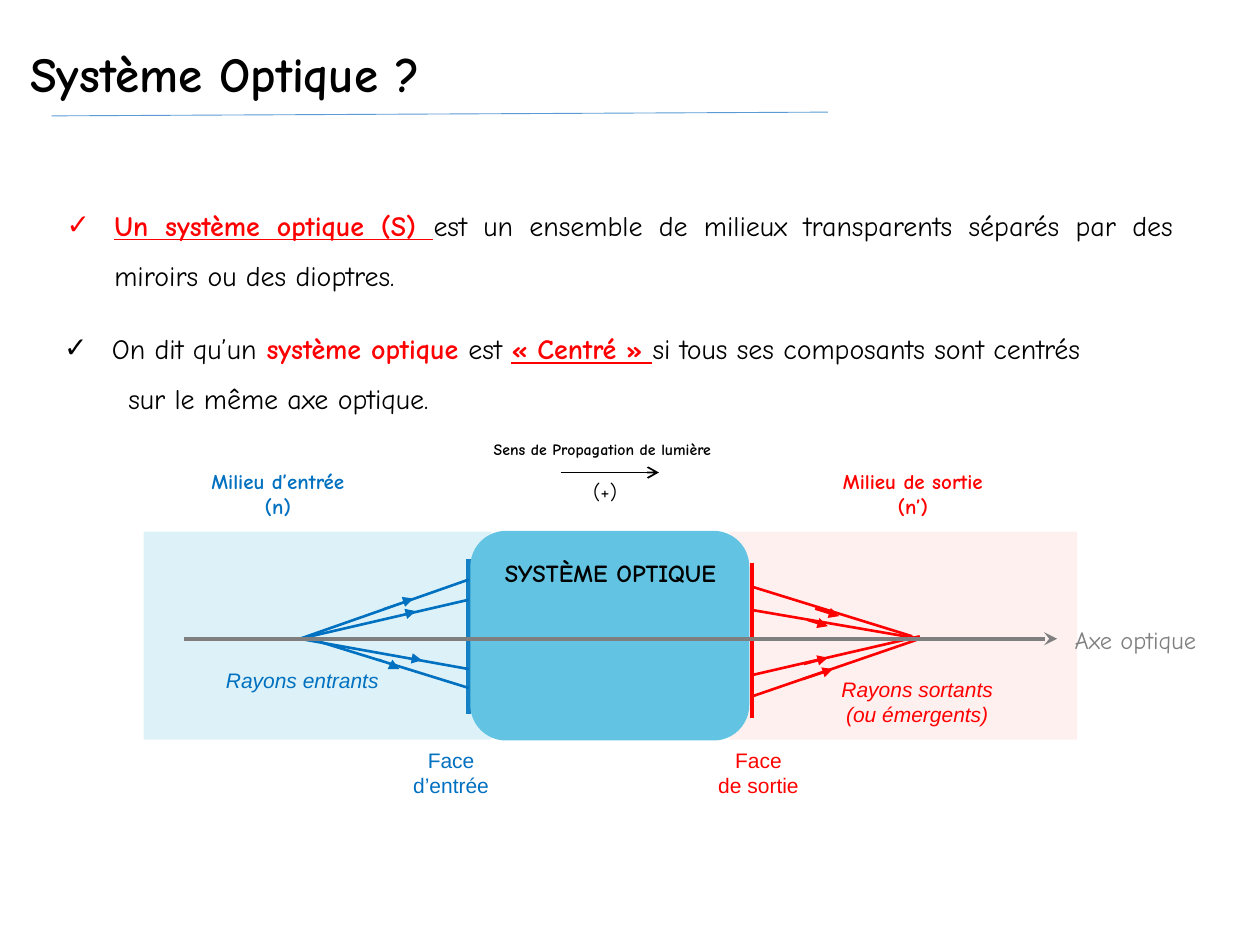
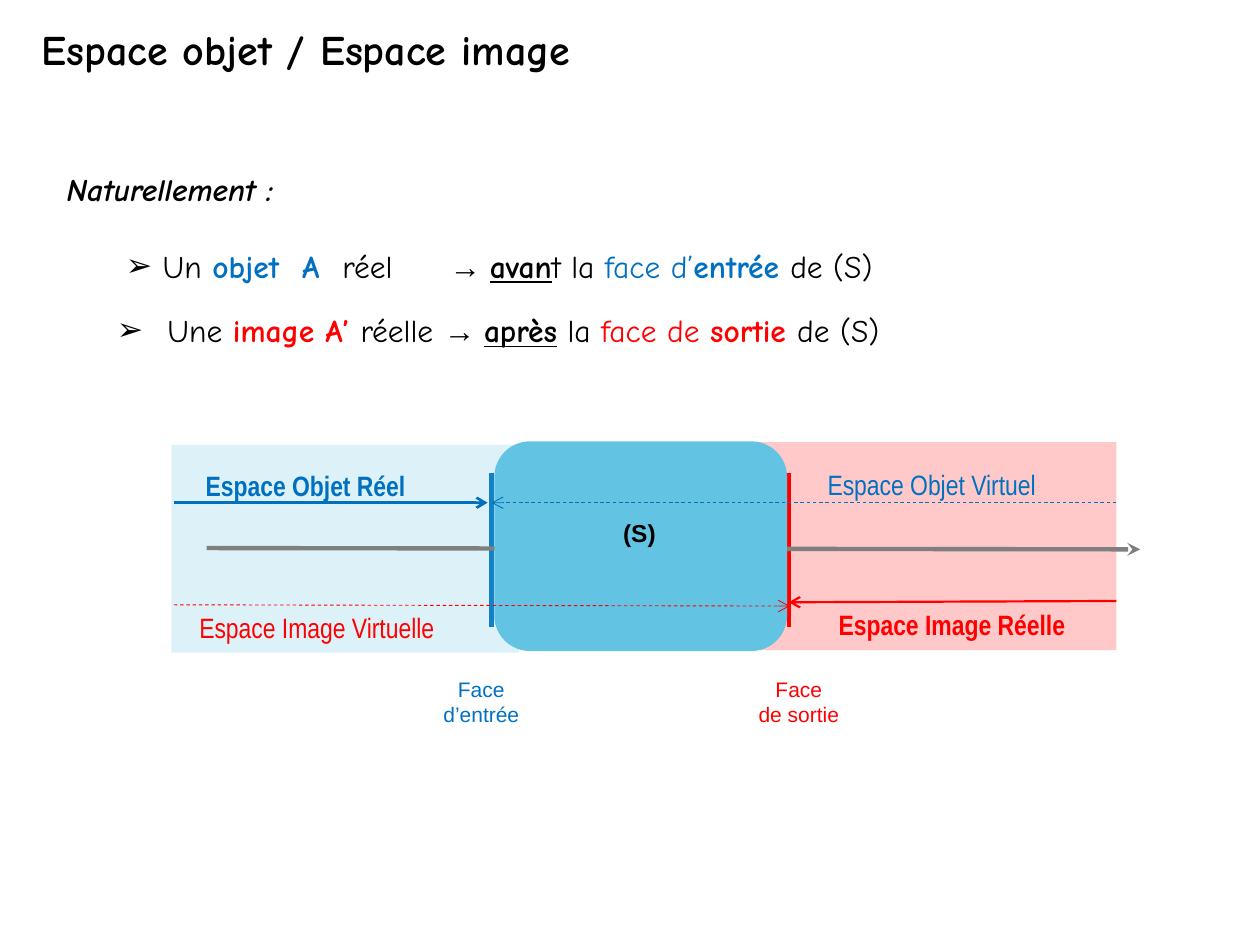
from pptx import Presentation
from pptx.dml.color import RGBColor
from pptx.enum.dml import MSO_LINE_DASH_STYLE as Dash
from pptx.enum.shapes import MSO_CONNECTOR as Connector, MSO_SHAPE as Shape
from pptx.enum.text import MSO_ANCHOR as Anchor, PP_ALIGN as Align
from pptx.oxml.ns import qn
from pptx.util import Inches, Pt
from lxml.etree import SubElement

BLACK, GREY, RULE = "000000", "7F7F7F", "5B9BD5"
ENTRY, EXIT, SYSTEM = "0070C0", "FF0000", "62C4E2"
COMIC, ARIAL, NARROW = "Comic Neue", "Arial", "Arial Narrow"
PAGE = (0, 0)
ZONE_HEIGHT = 1.65


def rgb(value):
    """Turn a hex string into a colour."""
    return RGBColor.from_string(value)


def add_bullet(paragraph, char, color, indent):
    """Give a paragraph a coloured bullet with a hanging indent."""
    props = paragraph._p.get_or_add_pPr()
    props.set("marL", str(Inches(indent)))
    props.set("indent", str(-Inches(indent)))
    SubElement(SubElement(props, qn("a:buClr")), qn("a:srgbClr"), val=color)
    SubElement(props, qn("a:buFont"), typeface=ARIAL)
    SubElement(props, qn("a:buChar"), char=char)


def add_tabs(paragraph, stops):
    """Give a paragraph left tab stops."""
    tab_list = SubElement(paragraph._p.get_or_add_pPr(), qn("a:tabLst"))
    for stop in stops:
        SubElement(tab_list, qn("a:tab"), pos=str(Inches(stop)), algn="l")


def write_runs(paragraph, runs, **base):
    """Write runs, each a string or a pair of string and overrides."""
    for entry in [runs] if isinstance(runs, str) else runs:
        words, changes = (entry, {}) if isinstance(entry, str) else entry
        look = {**base, **changes}
        run = paragraph.add_run()
        run.text = words
        font = run.font
        font.name, font.size = look["font"], Pt(look["size"])
        font.color.rgb = rgb(look["color"])
        font.bold = look.get("bold", False)
        font.italic = look.get("italic", False)
        font.underline = look.get("underline", False)


def add_text(slide, origin, box, *paragraphs, align=Align.LEFT, spacing=None,
             bullet=None, bullet_color=BLACK, indent=0, follow_indent=0,
             tabs=(), font=COMIC, size=12, color=BLACK, **look):
    """Place a text box relative to an origin; a bullet marks its first paragraph."""
    left, top, width, height = box
    frame = slide.shapes.add_textbox(
        Inches(origin[0] + left), Inches(origin[1] + top),
        Inches(width), Inches(height)).text_frame
    frame.word_wrap = True
    for number, runs in enumerate(paragraphs):
        paragraph = frame.add_paragraph() if number else frame.paragraphs[0]
        if bullet and not number:
            add_bullet(paragraph, bullet, bullet_color, indent)
        elif follow_indent:
            paragraph._p.get_or_add_pPr().set("marL", str(Inches(follow_indent)))
        if tabs:
            add_tabs(paragraph, tabs)
        paragraph.alignment = align
        if spacing:
            paragraph.line_spacing = spacing
        write_runs(paragraph, runs, font=font, size=size, color=color, **look)


def add_line(slide, origin, start, end, color, width, arrow=None, dash=None):
    """Draw a line relative to an origin, with an optional arrowhead at its end."""
    points = [Inches(base + step) for point in (start, end)
              for base, step in zip(origin, point)]
    connector = slide.shapes.add_connector(Connector.STRAIGHT, *points)
    connector.line.color.rgb = rgb(color)
    connector.line.width = Pt(width)
    if dash:
        connector.line.dash_style = dash
    if arrow:
        SubElement(connector.line._get_or_add_ln(), qn("a:tailEnd"), type=arrow)
    SubElement(connector._element.spPr, qn("a:effectLst"))


def add_block(slide, origin, box, color, kind=Shape.RECTANGLE, opacity=None):
    """Place a filled shape, translucent if an opacity in percent is given."""
    left, top, width, height = box
    block = slide.shapes.add_shape(
        kind, Inches(origin[0] + left), Inches(origin[1] + top),
        Inches(width), Inches(height))
    block.shadow.inherit = False
    block.fill.solid()
    block.fill.fore_color.rgb = rgb(color)
    if opacity:
        tint = block._element.spPr.find(qn("a:solidFill"))[0]
        SubElement(tint, qn("a:alpha"), val=str(opacity * 1000))
        block.line.fill.background()
    else:
        block.line.color.rgb = rgb(color)
        block.line.width = Pt(1)


def add_titled_slide(deck, title, left, top, size):
    """Add a title-only slide with its title placed and formatted."""
    slide = deck.slides.add_slide(deck.slide_layouts[5])
    holder = slide.shapes.title
    holder.left, holder.top = Inches(left), Inches(top)
    holder.width, holder.height = Inches(8.63), Inches(1.45)
    holder.text_frame.vertical_anchor = Anchor.MIDDLE
    paragraph = holder.text_frame.paragraphs[0]
    paragraph.alignment = Align.LEFT
    paragraph.line_spacing = 0.9
    write_runs(paragraph, title, font=COMIC, size=size, color=BLACK, bold=True)
    return slide


def add_faces(slide, origin, tops, face_xs, caption_xs, caption_top):
    """Draw the entry and exit faces with their captions."""
    names = ("d’entrée", "de sortie")
    for name, color, x, top, caption_x in zip(
            names, (ENTRY, EXIT), face_xs, tops, caption_xs):
        add_line(slide, origin, (x, top), (x, top + 1.23), color, 2.5)
        add_text(slide, origin, (caption_x, caption_top, 1.42, 0.5), "Face", name,
                 align=Align.CENTER, font=ARIAL, color=color)


def add_zones(slide, origin, entry_top, exit_left, exit_width, exit_opacity):
    """Draw the translucent zones before and after the system."""
    add_block(slide, origin, (0, entry_top, 2.76, ZONE_HEIGHT), SYSTEM, opacity=21)
    add_block(slide, origin, (exit_left, 0, exit_width, ZONE_HEIGHT), EXIT,
              opacity=exit_opacity)


def add_system(slide, origin, left, width):
    """Draw the rounded block of the optical system."""
    add_block(slide, origin, (left, 0, width, ZONE_HEIGHT), SYSTEM,
              Shape.ROUNDED_RECTANGLE)


def add_propagation(slide, origin):
    """Show the direction in which light travels."""
    add_line(slide, origin, (0.63, 0.31), (1.41, 0.31), BLACK, 1, "arrow")
    add_text(slide, origin, (0, 0, 3.36, 0.25), "Sens de Propagation de lumière",
             size=9, bold=True)
    add_text(slide, origin, (0.79, 0.31, 1.42, 0.3), "(+)")


def add_rays(slide, origin, rays, arrows, color, arrow_width):
    """Draw rays and the arrows lying on them."""
    for start, end in rays:
        add_line(slide, origin, start, end, color, 1.5)
    for start, end in arrows:
        add_line(slide, origin, start, end, color, arrow_width, "triangle")


def add_ray_diagram(slide, origin):
    """Draw the system between its entering and leaving rays."""
    centred = dict(align=Align.CENTER)
    add_faces(slide, origin, (0.22, 0.25), (2.58, 4.83), (1.73, 4.17), 1.66)
    add_zones(slide, origin, 0, 4.65, 2.76, 6)
    for medium, index, left, color in (
            ("Milieu d’entrée", "(n)", 0.16, ENTRY),
            ("Milieu de sortie", "(n’)", 5.2, EXIT)):
        add_text(slide, origin, (left, -0.55, 1.81, 0.5), medium, index,
                 color=color, bold=True, **centred)
    source = (1.24, 0.85)
    add_rays(slide, origin,
             [(source, (2.58, 0.38)), (source, (2.58, 0.54)),
              (source, (2.58, 1.09)), ((1.32, 0.85), (2.58, 1.24))],
             [((1.9, 0.61), (2.14, 0.53)), ((1.98, 0.68), (2.16, 0.63)),
              ((1.98, 0.98), (2.21, 1.02)), ((1.87, 1.01), (2.03, 1.09))],
             ENTRY, 0.5)
    add_rays(slide, origin,
             [((4.82, 1.31), (6.16, 0.85)), ((4.82, 1.14), (6.16, 0.83)),
              ((4.82, 0.62), (6.16, 0.85)), ((4.84, 0.44), (6.1, 0.83))],
             [((5.23, 1.17), (5.47, 1.09)), ((5.24, 1.05), (5.43, 1)),
              ((5.27, 0.7), (5.43, 0.75)), ((5.33, 0.61), (5.52, 0.67))],
             EXIT, 1.5)
    add_text(slide, origin, (0.55, 1.03, 1.42, 0.3), "Rayons entrants",
             font=ARIAL, color=ENTRY, italic=True, **centred)
    add_text(slide, origin, (5.43, 1.1, 1.42, 0.5), "Rayons sortants (ou émergents)",
             font=ARIAL, color=EXIT, italic=True, **centred)
    add_system(slide, origin, 2.6, 2.2)
    add_line(slide, origin, (0.32, 0.85), (7.25, 0.85), GREY, 2.5, "stealth")
    add_text(slide, origin, (2.76, 0.16, 1.89, 0.34), "SYSTÈME OPTIQUE",
             size=14, bold=True, **centred)
    add_text(slide, origin, (7.29, 0.69, 1.57, 0.34), "Axe optique",
             size=14, color=GREY)


def add_space_diagram(slide, origin):
    """Draw the real and virtual spaces on both sides of the system."""
    add_faces(slide, origin, (0.24, 0.24), (2.54, 4.9), (1.75, 4.27), 1.81)
    add_zones(slide, origin, 0.02, 4.66, 2.84, 21)
    add_line(slide, origin, (0.28, 0.84), (7.69, 0.85), GREY, 2.5, "stealth")
    add_line(slide, origin, (0.02, 0.48), (2.51, 0.48), ENTRY, 1.5, "arrow")
    add_system(slide, origin, 2.57, 2.31)
    add_text(slide, origin, (2.77, 0.55, 1.89, 0.34), "(S)", align=Align.CENTER,
             font=ARIAL, size=14, bold=True)
    add_line(slide, origin, (7.5, 0.48), (2.54, 0.48), ENTRY, 0.5, "arrow", Dash.DASH)
    add_line(slide, origin, (7.5, 1.26), (4.9, 1.27), EXIT, 1.25, "arrow")
    add_line(slide, origin, (0.02, 1.29), (4.91, 1.3), EXIT, 0.5, "arrow", Dash.DASH)
    for name, left, top, color, real in (
            ("Espace Objet Réel", 0.01, 0.16, ENTRY, True),
            ("Espace Objet Virtuel", 4.98, 0.15, ENTRY, False),
            ("Espace Image Réelle", 5.14, 1.26, EXIT, True),
            ("Espace Image Virtuelle", 0.1, 1.29, EXIT, False)):
        add_text(slide, origin, (left, top, 2.11, 0.37), name, align=Align.CENTER,
                 font=NARROW, size=16, color=color, bold=real)


def build_system_slide(deck):
    """Build the slide that defines an optical system."""
    slide = add_titled_slide(deck, "Système Optique ?", 0.14, -0.12, 28)
    add_line(slide, PAGE, (0.41, 0.92), (6.57, 0.89), RULE, 0.5)
    red = dict(color=EXIT, bold=True)
    term = dict(red, underline=True)
    definition = dict(align=Align.JUSTIFY, spacing=1.5, size=16, bullet="✓", indent=0.38)
    add_text(slide, PAGE, (0.43, 1.47, 8.98, 0.9),
             [("Un système optique (S) ", term),
              "est un ensemble de milieux transparents séparés par des miroirs "
              "ou des dioptres."],
             bullet_color=EXIT, **definition)
    add_text(slide, PAGE, (0.41, 2.45, 9.32, 0.9),
             ["On dit qu’un", (" système optique ", red), "est ",
              ("«\u00a0Centré\u00a0» ", term),
              "si tous ses composants sont centrés"],
             "sur le même axe optique.", follow_indent=0.51, **definition)
    add_propagation(slide, (3.82, 3.44))
    add_ray_diagram(slide, (1.14, 4.22))


def build_spaces_slide(deck):
    """Build the slide that compares object and image spaces."""
    slide = add_titled_slide(deck, "Espace objet / Espace image", 0.23, -0.31, 24)
    add_space_diagram(slide, (1.36, 3.51))
    add_text(slide, PAGE, (0.43, 1.3, 9.45, 0.7), "Naturellement :",
             size=18, bold=True, italic=True)
    blue, red = dict(color=ENTRY), dict(color=EXIT)
    strong = dict(bold=True)
    stressed = dict(bold=True, underline=True)
    arrow = ("→ ", dict(font=ARIAL))
    add_text(slide, PAGE, (0.9, 1.91, 8.5, 0.4),
             [" Un ", ("objet\tA\t", {**blue, **strong}), "réel\t", arrow,
              ("avan", stressed), "t la ", ("face d’", blue),
              ("entrée ", {**blue, **strong}), "de (S)"],
             size=18, bullet="➢", tabs=(1.4, 1.72, 2.57))
    add_text(slide, PAGE, (0.83, 2.42, 8.98, 0.4),
             ["Une ", ("image A’ ", {**red, **strong}), "réelle ", arrow,
              ("après", stressed), " la ", ("face de ", red),
              ("sortie ", {**red, **strong}), "de (S)"],
             size=18, bullet="➢", indent=0.4)


def main():
    """Build and save the deck."""
    deck = Presentation()
    deck.slide_width, deck.slide_height = Inches(10), Inches(7.5)
    build_system_slide(deck)
    build_spaces_slide(deck)
    deck.save("out.pptx")


if __name__ == "__main__":
    main()
